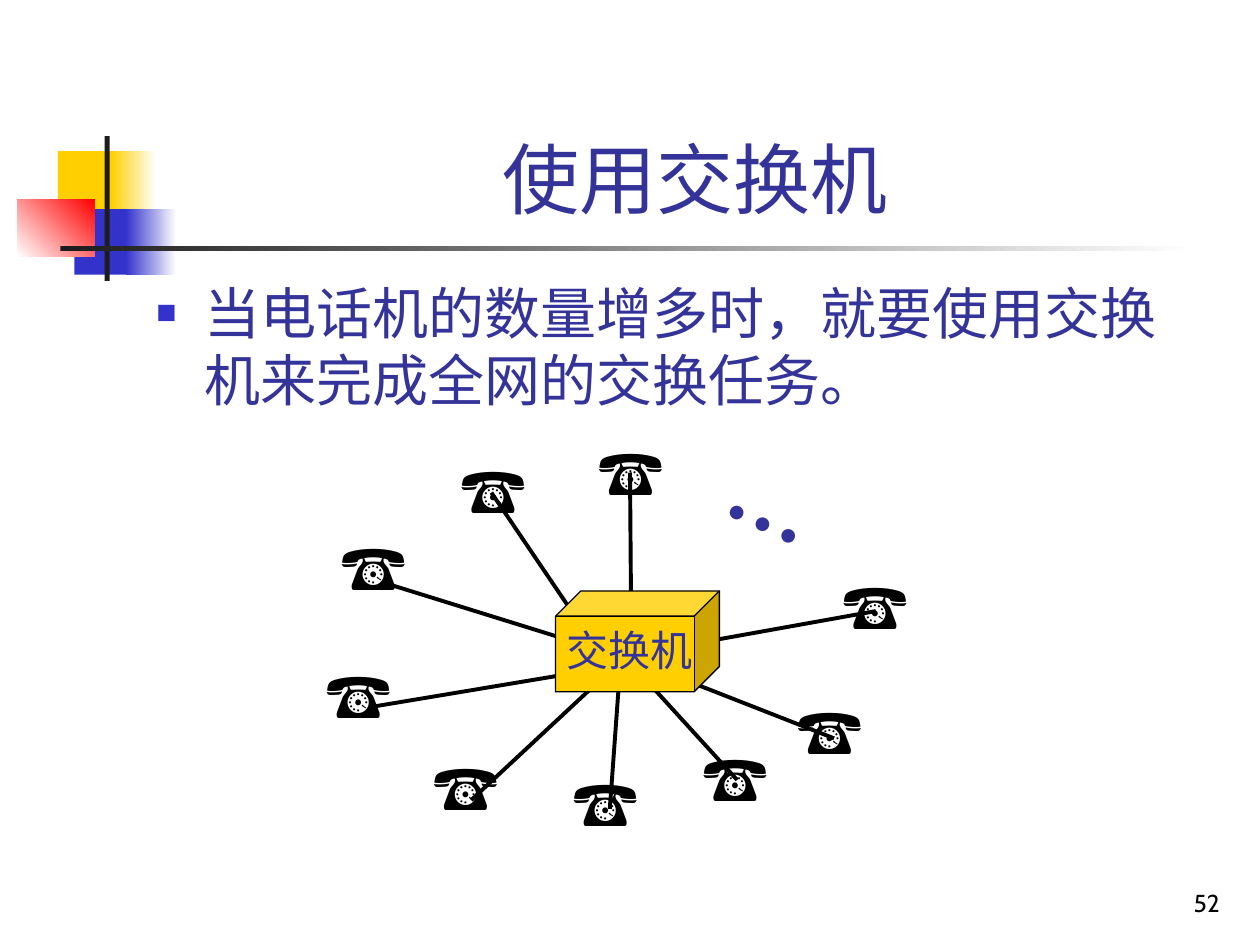
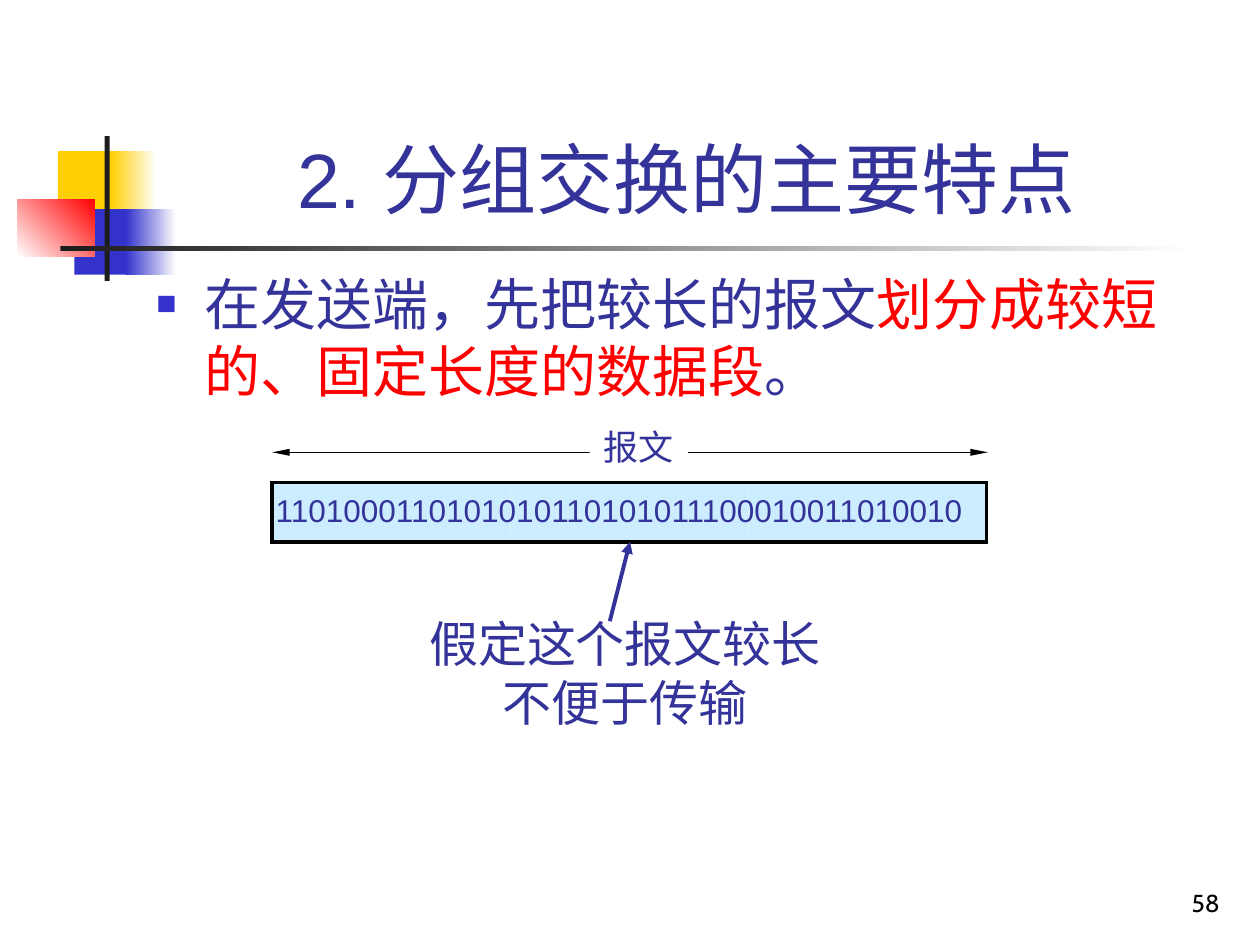
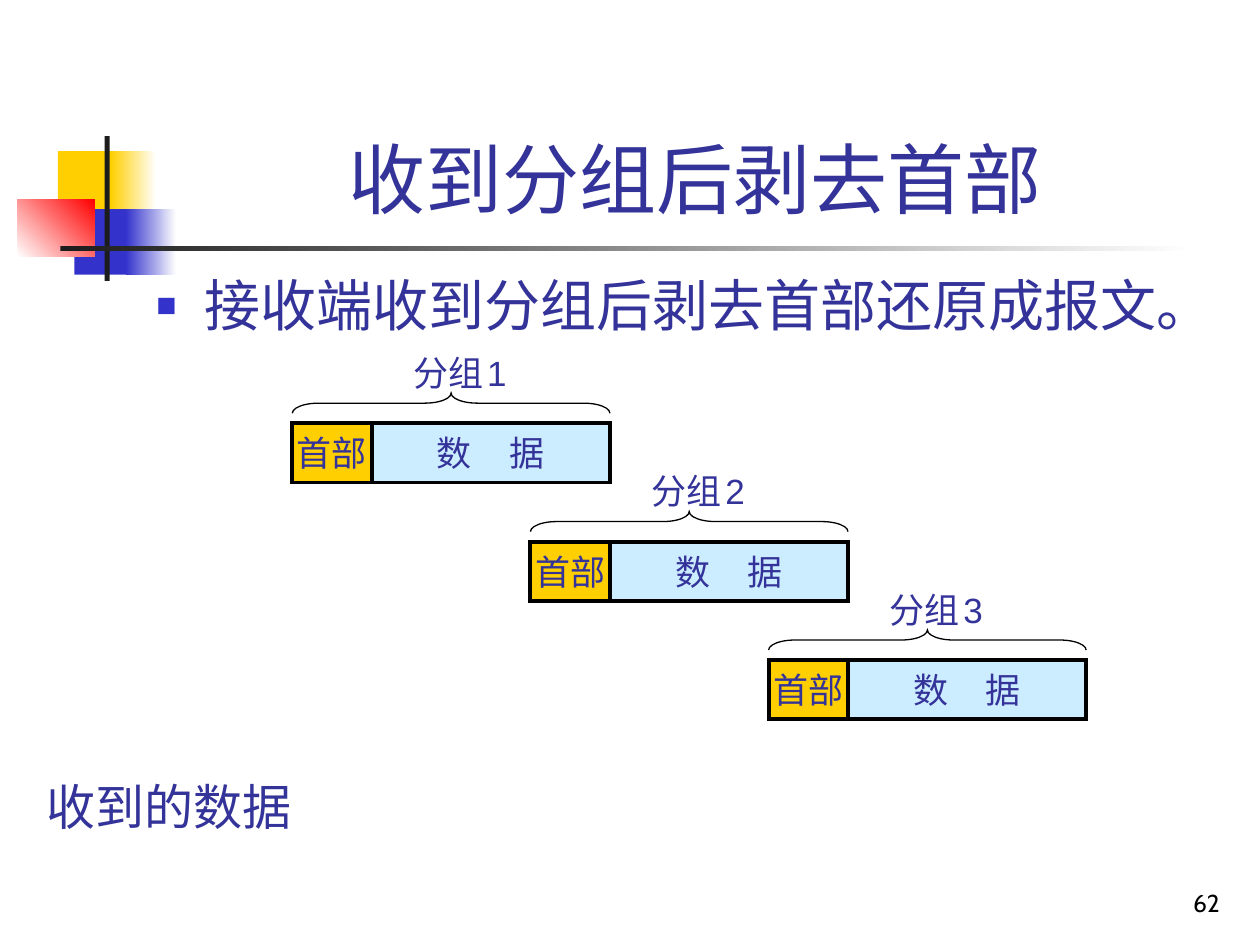
from lxml.etree import SubElement
from pptx import Presentation
from pptx.dml.color import RGBColor
from pptx.enum.shapes import MSO_CONNECTOR as Connector, MSO_SHAPE as Shape
from pptx.enum.text import MSO_ANCHOR as Anchor, MSO_AUTO_SIZE as AutoSize, PP_ALIGN as Align
from pptx.oxml.ns import qn
from pptx.util import Inches, Pt

NAVY = RGBColor(0x33, 0x33, 0x99)
BLUE = RGBColor(0x33, 0x33, 0xCC)
YELLOW = RGBColor(0xFF, 0xCF, 0x01)
RED = RGBColor(0xFF, 0x00, 0x00)
PALE = RGBColor(0xCC, 0xEC, 0xFF)
DARK = RGBColor(0x1C, 0x1C, 0x1C)
BLACK = RGBColor(0, 0, 0)
WHITE = RGBColor(0xFF, 0xFF, 0xFF)

SANS, SERIF, LABEL = "Arial", "Times New Roman", "Cabin"


def inches(*lengths):
    return [Inches(length) for length in lengths]


def write(frame, text, size=20, font=LABEL, color=NAVY, bold=False, align=Align.LEFT,
          anchor=Anchor.TOP, wrap=False, auto_size=AutoSize.NONE, bullet=None):
    frame.word_wrap = wrap
    frame.auto_size = auto_size
    frame.vertical_anchor = anchor
    lines = text.split("\n") if isinstance(text, str) else [text]
    for number, line in enumerate(lines):
        paragraph = frame.add_paragraph() if number else frame.paragraphs[0]
        if bullet:
            add_bullet(paragraph, bullet)
        paragraph.alignment = align
        paragraph.space_before = Pt(0)
        parts = [(line, {})] if isinstance(line, str) else line
        for words, changes in parts:
            run = paragraph.add_run()
            run.text = words
            run.font.size = Pt(changes.get("size", size))
            run.font.name = changes.get("font", font)
            run.font.color.rgb = changes.get("color", color)
            run.font.bold = bold
            if "spacing" in changes:
                run.font._element.set("spc", str(changes["spacing"] * 100))


def add_bullet(paragraph, color):
    properties = paragraph._p.get_or_add_pPr()
    indent = Inches(0.38)
    properties.set("marL", str(indent))
    properties.set("indent", str(-indent))
    SubElement(SubElement(properties, qn("a:buClr")), qn("a:srgbClr"), val=str(color))
    SubElement(properties, qn("a:buSzPct"), val="60000")
    SubElement(properties, qn("a:buFont"), typeface=SANS)
    SubElement(properties, qn("a:buChar"), char="■")


class Deck:
    def __init__(self):
        self.presentation = Presentation()
        self.presentation.slide_width, self.presentation.slide_height = inches(10, 7.5)
        self.layout = self.presentation.slide_layouts[1]
        for footer in list(self.layout.placeholders)[2:]:
            footer._element.getparent().remove(footer._element)
        self.slide = None

    def new_slide(self, title, body, body_box, number):
        first = self.slide is None
        self.slide = self.presentation.slides.add_slide(self.layout)
        if first:
            self.decorate_layout()
        heading, content = self.slide.placeholders
        self.place(heading, 1.26, 0.23, 8.52, 1.6)
        write(heading.text_frame, title, size=44, font=SANS, align=Align.CENTER,
              anchor=Anchor.BOTTOM, wrap=True)
        self.place(content, *body_box)
        write(content.text_frame, body, size=32, font=SANS, wrap=True, bullet=BLUE)
        self.text(number, 7.7, 6.83, 2.08, 0.5, size=14, color=BLACK, align=Align.RIGHT,
                  anchor=Anchor.BOTTOM, wrap=True, auto_size=AutoSize.NONE)

    def decorate_layout(self):
        bands = [
            (0.46, 1.2, 0.48, 0.52, YELLOW, None, 0),
            (0.88, 1.2, 0.36, 0.52, YELLOW, WHITE, 0),
            (0.59, 1.66, 0.46, 0.52, BLUE, None, 0),
            (1, 1.66, 0.4, 0.52, BLUE, WHITE, 0),
            (0.14, 1.58, 0.61, 0.46, WHITE, RED, 45),
            (0.83, 1.08, 0.04, 1.15, DARK, None, 0),
            (0.48, 1.95, 9, 0.04, DARK, WHITE, 0),
        ]
        for depth, (left, top, width, height, start, end, angle) in enumerate(bands):
            band = self.shape(Shape.RECTANGLE, left, top, width, height, fill=start)
            if end is not None:
                band.fill.gradient()
                band.fill.gradient_angle = angle
                for stop, color in zip(band.fill.gradient_stops, (start, end)):
                    stop.color.rgb = color
            self.layout.shapes._spTree.insert(2 + depth, band._element)

    def place(self, holder, *box):
        holder.left, holder.top, holder.width, holder.height = inches(*box)

    def shape(self, kind, *box, fill=None, line=None, weight=0.75):
        shape = self.slide.shapes.add_shape(kind, *inches(*box))
        shape.shadow.inherit = False
        if fill is None:
            shape.fill.background()
        else:
            shape.fill.solid()
            shape.fill.fore_color.rgb = fill
        if line is None:
            shape.line.fill.background()
        else:
            shape.line.color.rgb = line
            shape.line.width = Pt(weight)
            SubElement(shape.line._get_or_add_ln(), qn("a:miter"), lim="800000")
        return shape

    def text(self, words, *box, auto_size=AutoSize.SHAPE_TO_FIT_TEXT, **style):
        label = self.slide.shapes.add_textbox(*inches(*box))
        write(label.text_frame, words, auto_size=auto_size, **style)
        return label

    def line(self, *ends, color=BLACK, weight=2.25, arrows=(), head_width="med",
             head_length="med"):
        line = self.slide.shapes.add_connector(Connector.STRAIGHT, *inches(*ends))
        line.line.color.rgb = color
        line.line.width = Pt(weight)
        for end in arrows:
            SubElement(line.line._get_or_add_ln(), qn(f"a:{end}"), type="triangle",
                       w=head_width, len=head_length)
        SubElement(line._element.spPr, qn("a:effectLst"))

    def cell(self, words, *box, fill):
        cell = self.shape(Shape.RECTANGLE, *box, fill=fill, line=BLACK, weight=2.25)
        write(cell.text_frame, words, align=Align.CENTER, anchor=Anchor.MIDDLE)

    def packet(self, number, left, top):
        header, data, height = 0.63, 1.89, 0.47
        self.cell([("数", {}), (" ", {"spacing": 17}), ("据", {})],
                  left + header, top, data, height, fill=PALE)
        self.cell("首部", left, top, header, height, fill=YELLOW)
        span, depth = header + data, 0.16
        middle = left + span / 2
        brace = self.shape(Shape.LEFT_BRACE, middle - depth / 2, top - 0.16 - span / 2,
                           depth, span, line=BLACK)
        brace.adjustments[0] = 1.31
        brace.rotation = 90
        small_space = (" ", {"size": 10, "font": SANS})
        self.text([("分组", {}), small_space, (str(number), {"font": SANS})],
                  left + 0.86, top - 0.62, 1.01, 0.44)


def switch_slide(deck):
    deck.new_slide("使用交换机", "当电话机的数量增多时，就要使用交换机来完成全网的交换任务。",
                   (1.14, 2.16, 8.5, 4.5), "52")
    dots = deck.text("…", 5.71, 3.51, 0.86, 0.9, size=48, font=SERIF, bold=True)
    dots.rotation = 24.3
    wires = [
        (6.62, 5.86, 5.24, 5.32), (4.84, 6.42, 4.92, 5.32), (2.95, 5.61, 4.69, 5.32),
        (3.9, 3.91, 4.57, 4.9), (5.01, 5.01, 5, 3.75), (5.39, 5.13, 6.95, 4.85),
        (3.03, 4.62, 4.64, 5.12), (3.74, 6.35, 4.76, 5.4), (5.85, 6.19, 4.92, 5.17),
    ]
    for wire in wires:
        deck.line(*wire)
    phones = [
        (4.65, 3.38), (2.61, 4.14), (3.34, 5.88), (6.59, 4.45), (5.48, 5.81),
        (2.49, 5.15), (3.56, 3.53), (4.45, 6.01), (6.23, 5.44),
    ]
    for left, top in phones:
        deck.text("☎", left, top, 0.85, 0.7, size=36, font=SANS, color=BLACK)
    deck.shape(Shape.CUBE, 4.41, 4.69, 1.3, 0.8, fill=YELLOW, line=BLACK)
    deck.text("交换机", 4.4, 4.91, 1.2, 0.5, size=24, font=SERIF)


def message_slide(deck):
    body = [("在发送端，先把较长的报文", {}),
            ("划分成较短的、固定长度的数据段", {"color": RED}),
            ("。", {})]
    deck.new_slide("2. 分组交换的主要特点 ", body, (1.14, 2.09, 8.5, 4.5), "58")
    left, top, segment, height = 2.16, 3.83, 1.89, 0.47
    deck.line(left, 3.59, 7.84, 3.59, weight=0.75, arrows=("headEnd", "tailEnd"),
              head_width="sm", head_length="lg")
    label = deck.shape(Shape.RECTANGLE, 4.68, 3.33, 0.78, 0.44, fill=WHITE)
    write(label.text_frame, "报文", font=SERIF, align=Align.CENTER,
          auto_size=AutoSize.SHAPE_TO_FIT_TEXT)
    for index in range(3):
        deck.shape(Shape.RECTANGLE, left + index * segment, top, segment, height, fill=PALE)
    deck.shape(Shape.RECTANGLE, left, top, 3 * segment, height, line=BLACK, weight=2.25)
    deck.text("1101000110101010110101011100010011010010", 2.09, 3.85, 5.76, 0.4,
              size=18, font=SANS)
    deck.text("假定这个报文较长\n不便于传输", 3.26, 4.82, 3.4, 1.04, size=28, align=Align.CENTER)
    deck.line(4.84, 4.93, 5, 4.3, color=NAVY, arrows=("tailEnd",))


def packet_slide(deck):
    deck.new_slide("收到分组后剥去首部", "接收端收到分组后剥去首部还原成报文。",
                   (1.14, 2.1, 8.5, 1.1), "62")
    for index in range(3):
        deck.packet(index + 1, 2.32 + index * 1.89, 3.36 + index * 0.94)
    deck.text("收到的数据", 0.27, 6.11, 2.2, 0.57, size=28, wrap=True)


def main():
    deck = Deck()
    switch_slide(deck)
    message_slide(deck)
    packet_slide(deck)
    deck.presentation.save("out.pptx")


if __name__ == "__main__":
    main()
